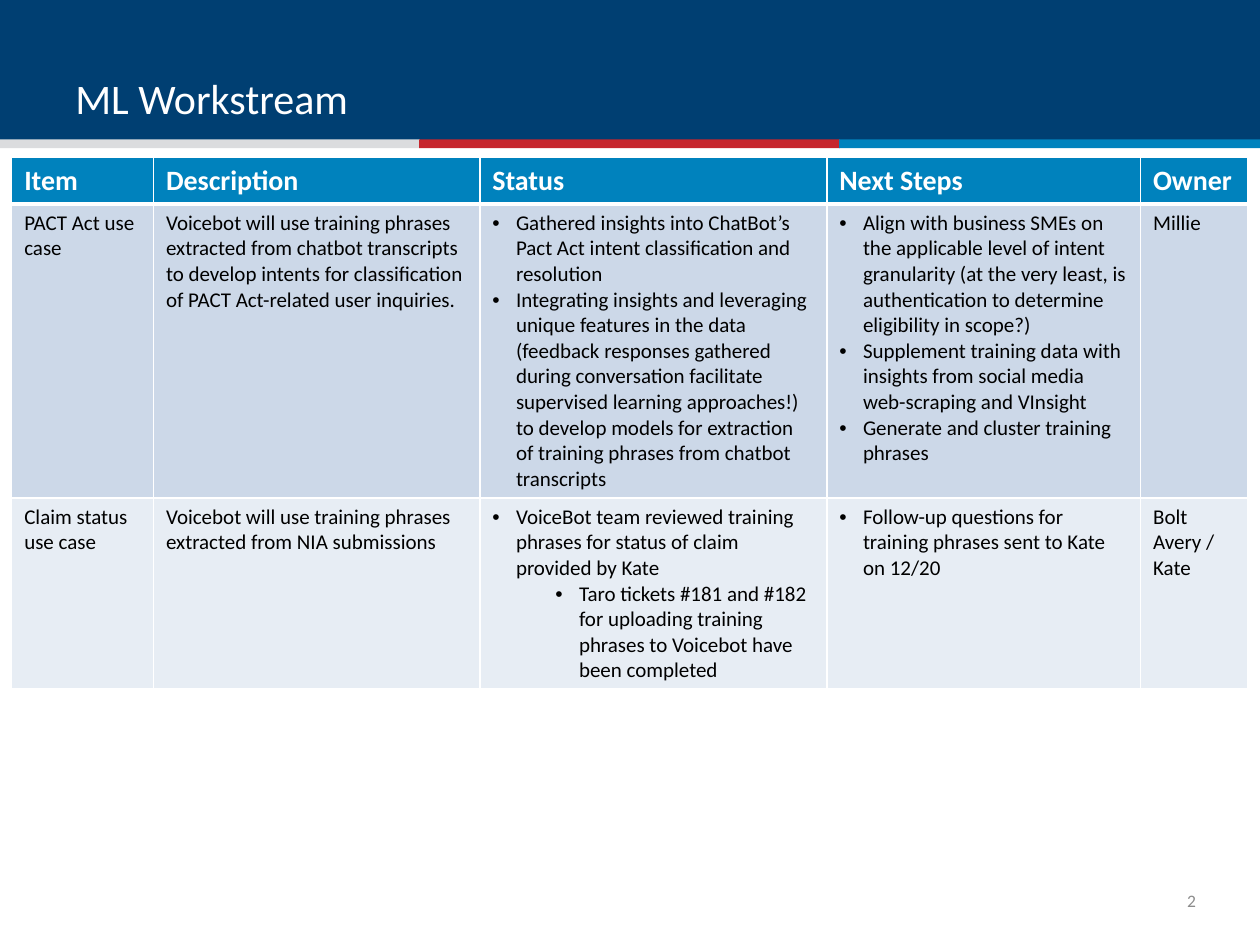
"""Build the ML Workstream status slide."""

from dataclasses import dataclass
from typing import Optional

import lxml.etree
import pptx
import pptx.dml.color
import pptx.enum.shapes
import pptx.enum.text
import pptx.oxml.ns
import pptx.slide
import pptx.table
import pptx.text.text
import pptx.util

Pt = pptx.util.Pt
RGBColor = pptx.dml.color.RGBColor
Align = pptx.enum.text.PP_ALIGN
Anchor = pptx.enum.text.MSO_ANCHOR
qn = pptx.oxml.ns.qn

FONT = "Calibri"
NAVY = RGBColor(0x00, 0x3F, 0x72)
SILVER = RGBColor(0xDB, 0xDC, 0xDE)
RED = RGBColor(0xC6, 0x26, 0x2D)
BLUE = RGBColor(0x00, 0x82, 0xBD)
PALE = RGBColor(0xCC, 0xD8, 0xE8)
LIGHT = RGBColor(0xE7, 0xED, 0xF4)
GREY = RGBColor(0x8C, 0x8C, 0x8C)
WHITE = RGBColor(0xFF, 0xFF, 0xFF)
BLACK = RGBColor(0x00, 0x00, 0x00)


@dataclass
class Bar:
    left: float
    top: float
    width: float
    height: float
    fill: RGBColor


@dataclass
class Line:
    text: str
    indent: Optional[float] = None
    level: int = 0


@dataclass
class Row:
    height: float
    fill: RGBColor
    cells: list[list[Line]]
    size: float = 12
    color: RGBColor = BLACK
    bold: bool = False
    top: float = 1
    base: float = 1


def plain(text: str) -> list[Line]:
    return [Line(text)]


def points(*texts: str) -> list[Line]:
    return [Line(text, 13.5) for text in texts]


BAND = 240
BARS = [Bar(-0.5, 0, 720.5, 82, NAVY)] + [
    Bar(i * BAND - 0.5, 79.7, BAND + 0.5, 5, fill)
    for i, fill in enumerate((SILVER, RED, BLUE))
]
WIDTHS = (81, 186.5, 198.3, 179.3, 61.2)
HEADS = ("Item", "Description", "Status", "Next Steps", "Owner")
ROWS = [
    Row(26.6, BLUE, [plain(head) for head in HEADS], 16, WHITE, True, base=3),
    Row(168, PALE, [
        plain("PACT Act use case"),
        plain("Voicebot will use training phrases extracted from chatbot transcripts "
              "to develop intents for classification of PACT Act-related user inquiries."),
        points("Gathered insights into ChatBot’s Pact Act intent classification and resolution",
               "Integrating insights and leveraging unique features in the data (feedback "
               "responses gathered during conversation facilitate supervised learning "
               "approaches!) to develop models for extraction of training phrases from "
               "chatbot transcripts"),
        points("Align with business SMEs on the applicable level of intent granularity (at "
               "the very least, is authentication to determine eligibility in scope?)",
               "Supplement training data with insights from social media web-scraping "
               "and VInsight",
               "Generate and cluster training phrases"),
        plain("Millie"),
    ], top=3),
    Row(109, LIGHT, [
        plain("Claim status use case"),
        plain("Voicebot will use training phrases extracted from NIA submissions"),
        points("VoiceBot team reviewed training phrases for status of claim provided by Kate")
        + [Line("Taro tickets #181 and #182 for uploading training phrases to Voicebot "
                "have been completed", 49.5, 1)],
        points("Follow-up questions for training phrases sent to Kate on 12/20"),
        plain("Bolt Avery / Kate"),
    ]),
]


def write(frame: pptx.text.text.TextFrame, lines: list[Line], *, size: float,
          color: RGBColor, bold: bool = False, align: Align = Align.LEFT) -> None:
    frame.word_wrap = True
    for i, line in enumerate(lines):
        par = frame.add_paragraph() if i else frame.paragraphs[0]
        par.alignment = align
        par.level = line.level
        run = par.add_run()
        run.text = line.text
        font = run.font
        font.name, font.size, font.bold = FONT, Pt(size), bold
        font.color.rgb = color
        if line.indent is not None:
            props = par._p.get_or_add_pPr()
            props.set("marL", str(Pt(line.indent)))
            props.set("indent", str(Pt(-13.5)))
            lxml.etree.SubElement(props, qn("a:buFont"), typeface="Arial")
            lxml.etree.SubElement(props, qn("a:buChar"), char="•")


def draw_bar(slide: pptx.slide.Slide, bar: Bar) -> None:
    kind = pptx.enum.shapes.MSO_SHAPE.RECTANGLE
    shape = slide.shapes.add_shape(
        kind, Pt(bar.left), Pt(bar.top), Pt(bar.width), Pt(bar.height))
    shape.shadow.inherit = False
    shape.fill.solid()
    shape.fill.fore_color.rgb = bar.fill
    shape.line.fill.background()


def edge(cell: pptx.table._Cell, top: float, base: float) -> None:
    props = cell._tc.get_or_add_tcPr()
    for side, width in (("L", 1), ("R", 1), ("T", top), ("B", base)):
        line = lxml.etree.SubElement(props, qn(f"a:ln{side}"), w=str(Pt(width)))
        fill = lxml.etree.SubElement(line, qn("a:solidFill"))
        lxml.etree.SubElement(fill, qn("a:srgbClr"), val=str(WHITE))


def draw_grid(slide: pptx.slide.Slide, rows: list[Row]) -> None:
    grid = slide.shapes.add_table(
        len(rows), len(WIDTHS), Pt(6.7), Pt(90), Pt(sum(WIDTHS)),
        Pt(sum(row.height for row in rows))).table
    grid.first_row = grid.horz_banding = False
    for col, width in zip(grid.columns, WIDTHS):
        col.width = Pt(width)
    for i, row in enumerate(rows):
        grid.rows[i].height = Pt(row.height)
        for j, lines in enumerate(row.cells):
            cell = grid.cell(i, j)
            edge(cell, row.top, row.base)
            cell.fill.solid()
            cell.fill.fore_color.rgb = row.fill
            write(cell.text_frame, lines, size=row.size, color=row.color, bold=row.bold)


def main() -> None:
    deck = pptx.Presentation()
    deck.slide_width, deck.slide_height = Pt(720), Pt(540)
    slide = deck.slides.add_slide(deck.slide_layouts[6])
    for bar in BARS:
        draw_bar(slide, bar)

    title = slide.shapes.add_textbox(Pt(36), Pt(10), Pt(648), Pt(64)).text_frame
    title.vertical_anchor = Anchor.BOTTOM
    write(title, plain("ML Workstream"), size=24, color=WHITE)

    page = slide.shapes.add_textbox(Pt(664), Pt(500.4), Pt(19.4), Pt(28.8)).text_frame
    page.vertical_anchor = Anchor.MIDDLE
    page.margin_left = page.margin_right = page.margin_top = page.margin_bottom = 0
    write(page, plain("2"), size=10, color=GREY, align=Align.RIGHT)

    draw_grid(slide, ROWS)
    deck.save("out.pptx")


if __name__ == "__main__":
    main()
